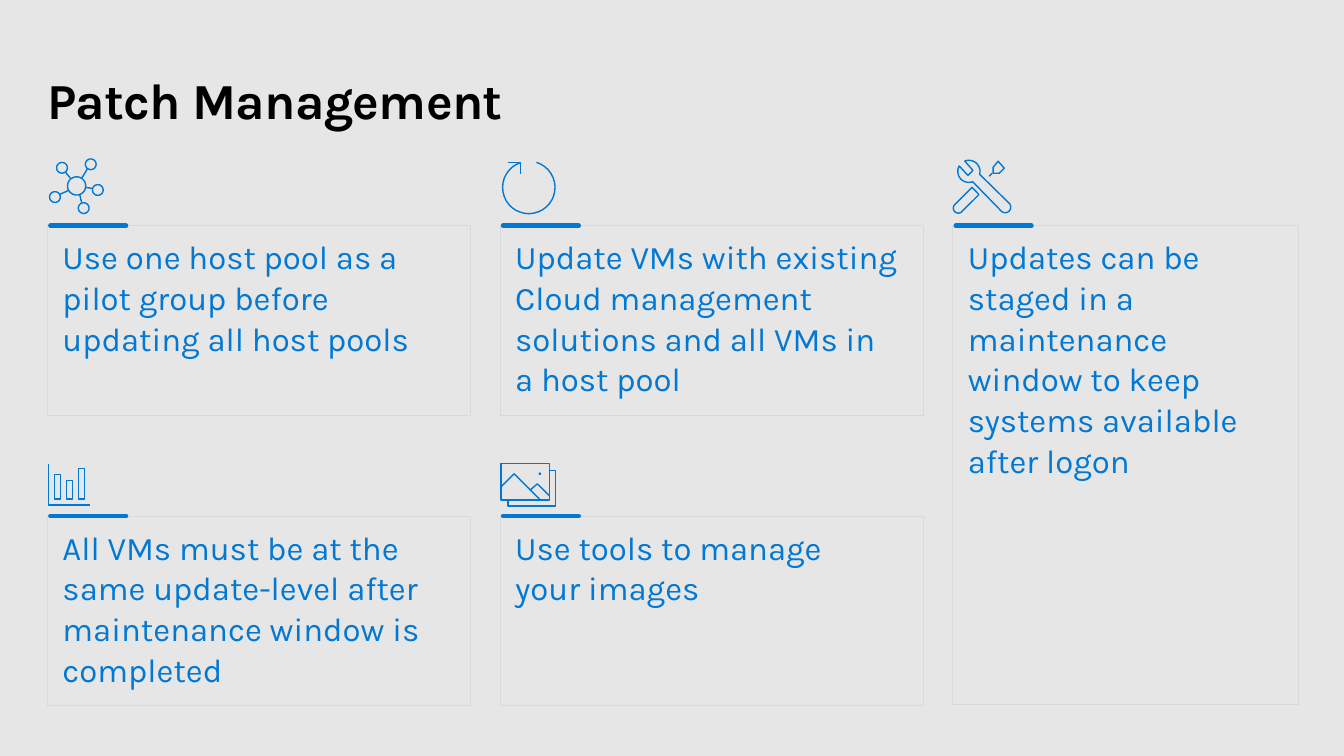
import math
from dataclasses import dataclass

import lxml.etree
import pptx
import pptx.dml.color
import pptx.enum.shapes
import pptx.enum.text
import pptx.oxml.ns
import pptx.shapes.autoshape
import pptx.slide
import pptx.util

Inches = pptx.util.Inches
Pt = pptx.util.Pt
qn = pptx.oxml.ns.qn

COLORS = {"background": "E6E6E6", "title": "000000", "accent": "0078D4", "border": "D9D9D9"}
FONT = "Karla"
LEFT, COLUMN_STEP = 0.47, 4.49
TOP, ROW_STEP = 2.24, 2.88
UNITS = 1000  # freeform units per inch

Point = tuple[float, float]


@dataclass
class Card:
    column: int
    row: int
    text: str
    width: float = 4.2
    height: float = 1.88


@dataclass
class Stroke:
    points: list[Point]
    closed: bool = False


CARDS = [
    Card(0, 0, "Use one host pool as a pilot group before updating all host pools"),
    Card(1, 0, "Update VMs with existing Cloud management solutions and all VMs in\na host pool"),
    Card(2, 0, "Updates can be staged in a maintenance window to keep systems available after logon",
         3.43, 4.75),
    Card(0, 1, "All VMs must be at the same update-level after maintenance window is completed"),
    Card(1, 1, "Use tools to manage\nyour images"),
]


def rgb(name: str) -> pptx.dml.color.RGBColor:
    return pptx.dml.color.RGBColor.from_string(COLORS[name])


def arc(x: float, y: float, radius: float, start: float, end: float) -> list[Point]:
    """Points along an arc; angles are in degrees, clockwise from the right."""
    steps = max(2, round(abs(end - start) / 10))
    angles = [math.radians(start + (end - start) * i / steps) for i in range(steps + 1)]
    return [(x + radius * math.cos(a), y + radius * math.sin(a)) for a in angles]


def circle(x: float, y: float, radius: float) -> Stroke:
    return Stroke(arc(x, y, radius, 0, 350), True)


def box(left: float, top: float, right: float, bottom: float) -> Stroke:
    return Stroke([(left, top), (right, top), (right, bottom), (left, bottom)], True)


NETWORK = [
    circle(0.76, 1.845, 0.09),
    *(circle(x, y, 0.053) for x, y in
      [(0.9, 1.63), (0.615, 1.665), (0.545, 1.955), (0.83, 2.065), (0.97, 1.885)]),
    Stroke([(0.87, 1.67), (0.81, 1.77)]),
    Stroke([(0.7, 1.77), (0.65, 1.71)]),
    Stroke([(0.59, 1.93), (0.68, 1.89)]),
    Stroke([(0.81, 2.01), (0.79, 1.93)]),
    Stroke([(0.85, 1.86), (0.92, 1.87)]),
]
REFRESH = [
    Stroke(arc(5.245, 1.86, 0.26, -73, 251)),
    Stroke([(5.16, 1.73), (5.16, 1.61), (5.04, 1.61)]),
]
BARS = [
    *(box(0.54 + 0.12 * i, top, 0.6 + 0.12 * i, 4.95) for i, top in enumerate([4.71, 4.77, 4.65])),
    Stroke([(0.48, 4.6), (0.48, 5.01), (0.89, 5.01)]),
]
SCREWDRIVER = [
    Stroke(arc(9.505, 2.065, 0.05, 225, 45) + [(9.71, 1.93), (9.64, 1.86)], True),
    Stroke([(9.96, 1.67), (9.9, 1.6), (9.85, 1.66), (9.85, 1.72), (9.91, 1.72)], True),
    Stroke([(9.84, 1.72), (9.81, 1.75)]),
]
WRENCH = [
    Stroke([(9.65, 1.69), (9.6, 1.74)] + arc(9.61, 1.7, 0.11, 209, 70)
           + arc(9.97, 2.055, 0.055, 135, -45) + arc(9.61, 1.7, 0.11, 15, -112), True),
]
IMAGES = [
    box(4.97, 4.6, 5.45, 4.96),
    circle(5.355, 4.7, 0.006),
    Stroke([(5.36, 4.96), (5.1, 4.7), (4.97, 4.83)]),
    Stroke([(5.45, 4.92), (5.33, 4.8), (5.26, 4.86)]),
    Stroke([(5.04, 4.96), (5.04, 5.02), (5.51, 5.02), (5.51, 4.67), (5.45, 4.67)]),
]
ICONS = [NETWORK, REFRESH, BARS, SCREWDRIVER, WRENCH, IMAGES]


def outline(sp: pptx.shapes.autoshape.Shape, color: str, width: float) -> None:
    sp.shadow.inherit = False
    sp.fill.background()
    sp.line.color.rgb = rgb(color)
    sp.line.width = Pt(width)


def add_title(s: pptx.slide.Slide, text: str) -> None:
    sp = s.shapes.add_textbox(Inches(LEFT), Inches(0.48), Inches(12.4), Inches(0.83))
    tf = sp.text_frame
    tf.word_wrap = True
    tf.vertical_anchor = pptx.enum.text.MSO_ANCHOR.MIDDLE
    tf.margin_left = tf.margin_right = tf.margin_bottom = 0
    tf.margin_top = Inches(0.18)
    p = tf.paragraphs[0]
    r = p.add_run()
    r.text = text
    p.font.name, p.font.size, p.font.bold = FONT, Pt(36), True
    p.font.color.rgb = rgb("title")
    r._r.get_or_add_rPr().set("spc", "-50")


def add_card(s: pptx.slide.Slide, card: Card) -> None:
    left = LEFT + card.column * COLUMN_STEP
    top = TOP + card.row * ROW_STEP
    sp = s.shapes.add_shape(pptx.enum.shapes.MSO_SHAPE.RECTANGLE, Inches(left), Inches(top),
                            Inches(card.width), Inches(card.height))
    outline(sp, "border", 0.5)
    tf = sp.text_frame
    tf.word_wrap = True
    tf.vertical_anchor = pptx.enum.text.MSO_ANCHOR.TOP
    tf.margin_left = tf.margin_right = Inches(0.15)
    tf.margin_top = tf.margin_bottom = Inches(0.1)
    p = tf.paragraphs[0]
    p.text = card.text
    p.alignment = pptx.enum.text.PP_ALIGN.LEFT
    p.line_spacing = 1.03
    p.font.name, p.font.size = FONT, Pt(23.5)
    p.font.color.rgb = rgb("accent")

    accent = s.shapes.add_connector(pptx.enum.shapes.MSO_CONNECTOR.STRAIGHT, Inches(left + 0.03),
                                    Inches(top), Inches(left + 0.78), Inches(top))
    accent.line.color.rgb = rgb("accent")
    accent.line.width = Pt(3.25)
    properties = accent._element.spPr
    properties.find(qn("a:ln")).set("cap", "rnd")
    lxml.etree.SubElement(properties, qn("a:effectLst"))


def add_icon(s: pptx.slide.Slide, strokes: list[Stroke]) -> None:
    builder = None
    for stroke in strokes:
        first, *rest = [(x * UNITS, y * UNITS) for x, y in stroke.points]
        if builder is None:
            builder = s.shapes.build_freeform(*first, scale=Inches(1) / UNITS)
        else:
            builder.move_to(*first)
        builder.add_line_segments(rest, close=stroke.closed)
    outline(builder.convert_to_shape(), "accent", 1)


def main() -> None:
    prs = pptx.Presentation()
    prs.slide_width, prs.slide_height = Inches(13.33), Inches(7.5)
    s = prs.slides.add_slide(prs.slide_layouts[6])
    s.background.fill.solid()
    s.background.fill.fore_color.rgb = rgb("background")
    add_title(s, "Patch Management")
    for card in CARDS:
        add_card(s, card)
    for icon in ICONS:
        add_icon(s, icon)
    prs.save("out.pptx")


if __name__ == "__main__":
    main()
